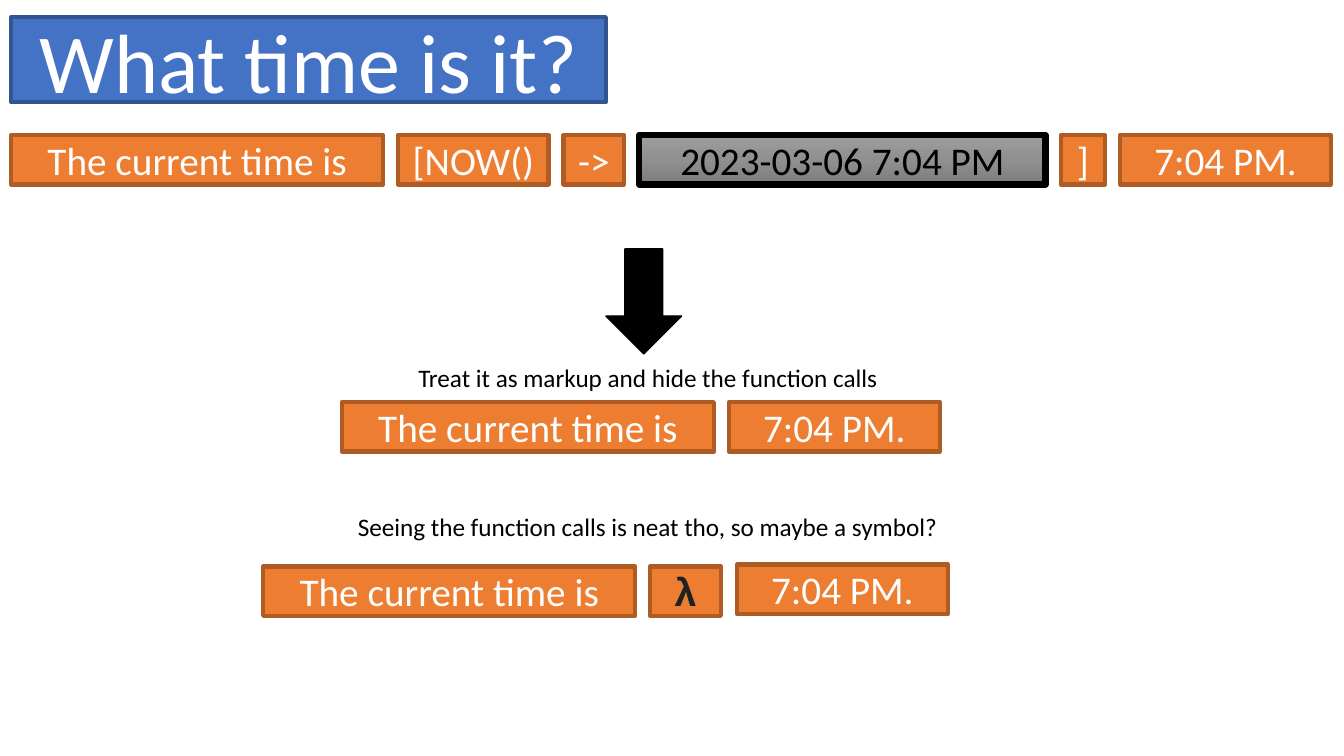
import copy

import pptx
import pptx.dml.color
import pptx.enum.shapes
import pptx.enum.text
import pptx.util

Inches = pptx.util.Inches
Pt = pptx.util.Pt
SHAPES = pptx.enum.shapes.MSO_SHAPE

COLORS = {
    "blue": "4472C4", "blue_edge": "325491",
    "orange": "ED7D31", "orange_edge": "AF5C24",
    "white": "FFFFFF", "black": "000000", "ink": "202122",
    "gray_top": "9D9D9D", "gray_mid": "909090", "gray_bottom": "7C7C7C",
}
GAP = 0.15
PIECE_HEIGHT = 0.49


def rgb(name):
    return pptx.dml.color.RGBColor.from_string(COLORS[name])


class SlideBuilder:
    """Holds the shared style and the slide being built."""
    font = "Calibri"

    def __init__(self, slide):
        self.slide = slide

    def add_text(self, frame, text, size, color, font=None, bold=None):
        frame.word_wrap = True
        run = frame.paragraphs[0].add_run()
        run.text = text
        run.font.name = font or self.font
        run.font.size = Pt(size)
        run.font.bold = bold
        run.font.color.rgb = rgb(color)

    def shape(self, kind, box, fill, edge, edge_width):
        shape = self.slide.shapes.add_shape(kind, *map(Inches, box))
        shape.shadow.inherit = False
        if isinstance(fill, tuple):
            self.vertical_gradient(shape, fill)
        else:
            shape.fill.solid()
            shape.fill.fore_color.rgb = rgb(fill)
        shape.line.color.rgb = rgb(edge)
        shape.line.width = Pt(edge_width)
        return shape

    def vertical_gradient(self, shape, colors):
        shape.fill.gradient()
        shape.fill.gradient_angle = 270
        first = shape._element.spPr.xpath(".//a:gs")[0]
        for _ in colors[2:]:
            first.addnext(copy.deepcopy(first))
        for i, (stop, color) in enumerate(zip(shape.fill.gradient_stops, colors)):
            stop.position = i / (len(colors) - 1)
            stop.color.rgb = rgb(color)

    def box(self, text, box, fill="orange", edge="orange_edge", edge_width=3,
            size=28, color="white", **style):
        shape = self.shape(SHAPES.RECTANGLE, box, fill, edge, edge_width)
        frame = shape.text_frame
        frame.vertical_anchor = pptx.enum.text.MSO_ANCHOR.MIDDLE
        frame.paragraphs[0].alignment = pptx.enum.text.PP_ALIGN.CENTER
        self.add_text(frame, text, size, color, **style)

    def row(self, left, top, pieces):
        for text, width, style in pieces:
            self.box(text, (left, top, width, PIECE_HEIGHT), **style)
            left += width + GAP

    def caption(self, text, left, top):
        caption = self.slide.shapes.add_textbox(*map(Inches, (left, top, 6.69, 0.4)))
        self.add_text(caption.text_frame, text, 18, "black")


def main():
    deck = pptx.Presentation()
    deck.slide_width, deck.slide_height = Inches(13.33), Inches(7.5)
    builder = SlideBuilder(deck.slides.add_slide(deck.slide_layouts[6]))

    # Pieces of the sentence: text, width, style
    intro = ("The current time is", 3.69, {})
    clock = ("7:04 PM.", 2.09, {})
    timestamp = ("2023-03-06 7:04 PM", 4.03, {
        "fill": ("gray_top", "gray_mid", "gray_bottom"),
        "edge": "black", "edge_width": 4.5, "color": "black"})
    symbol = ("λ", 0.7, {"font": "Arial", "bold": True, "color": "ink"})

    # Title
    builder.box("What time is it?", (0.11, 0.17, 5.9, 0.84),
                fill="blue", edge="blue_edge", size=60)

    # Full sentence with the function call
    builder.row(0.11, 1.34, [intro, ("[NOW()", 1.49, {}), ("->", 0.6, {}),
                             timestamp, ("]", 0.44, {}), clock])

    # Arrow to the alternatives
    builder.shape(SHAPES.DOWN_ARROW, (6.01, 2.47, 0.75, 1.04), "black", "black", 1)

    # Function call hidden
    builder.caption("Treat it as markup and hide the function calls", 4.05, 3.55)
    builder.row(3.39, 3.99, [intro, clock])

    # Function call shown as a symbol
    builder.caption("Seeing the function calls is neat tho, so maybe a symbol?", 3.45, 5.02)
    builder.row(2.61, 5.62, [intro, symbol])
    builder.row(7.31, 5.6, [clock])

    deck.save("out.pptx")


if __name__ == "__main__":
    main()
